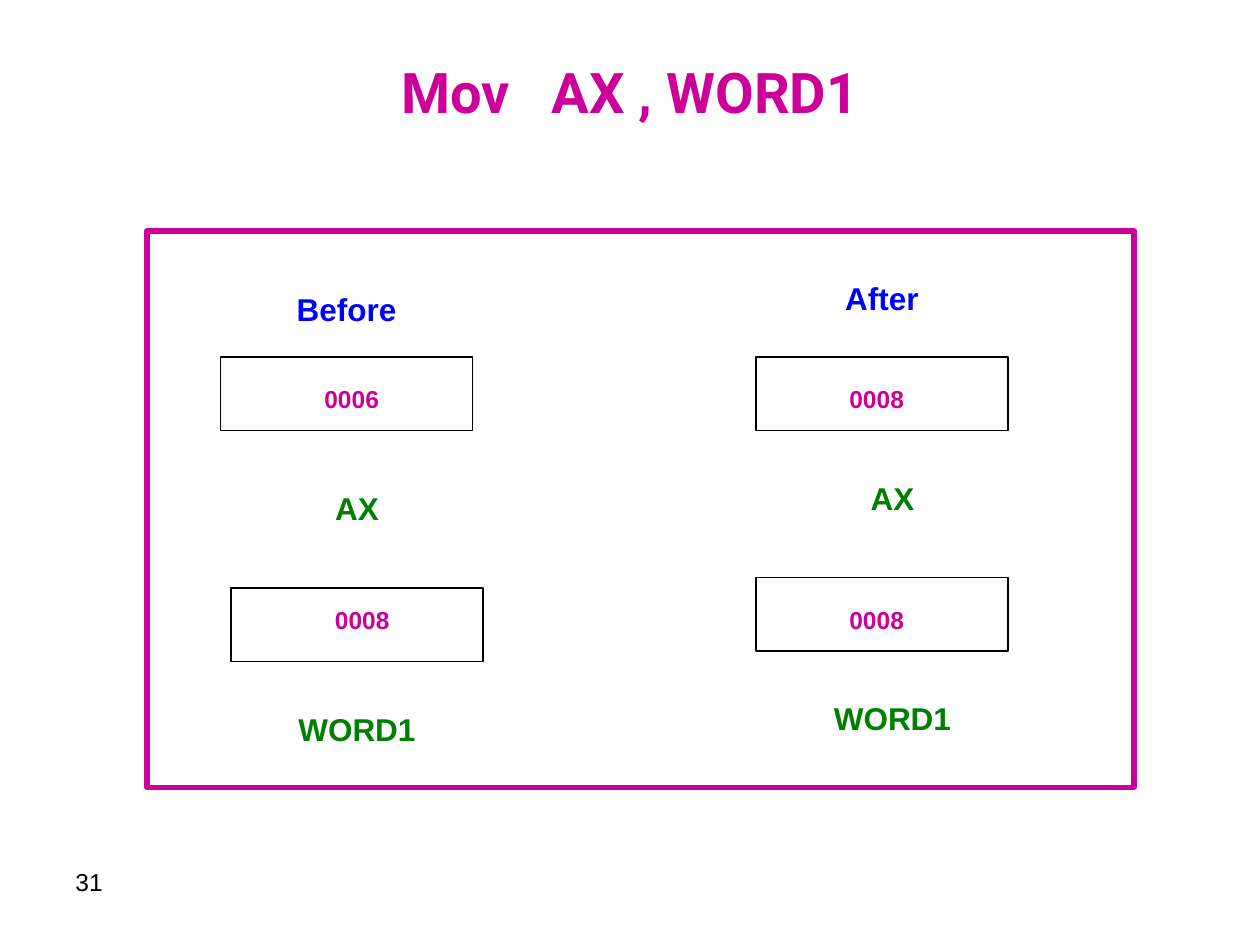
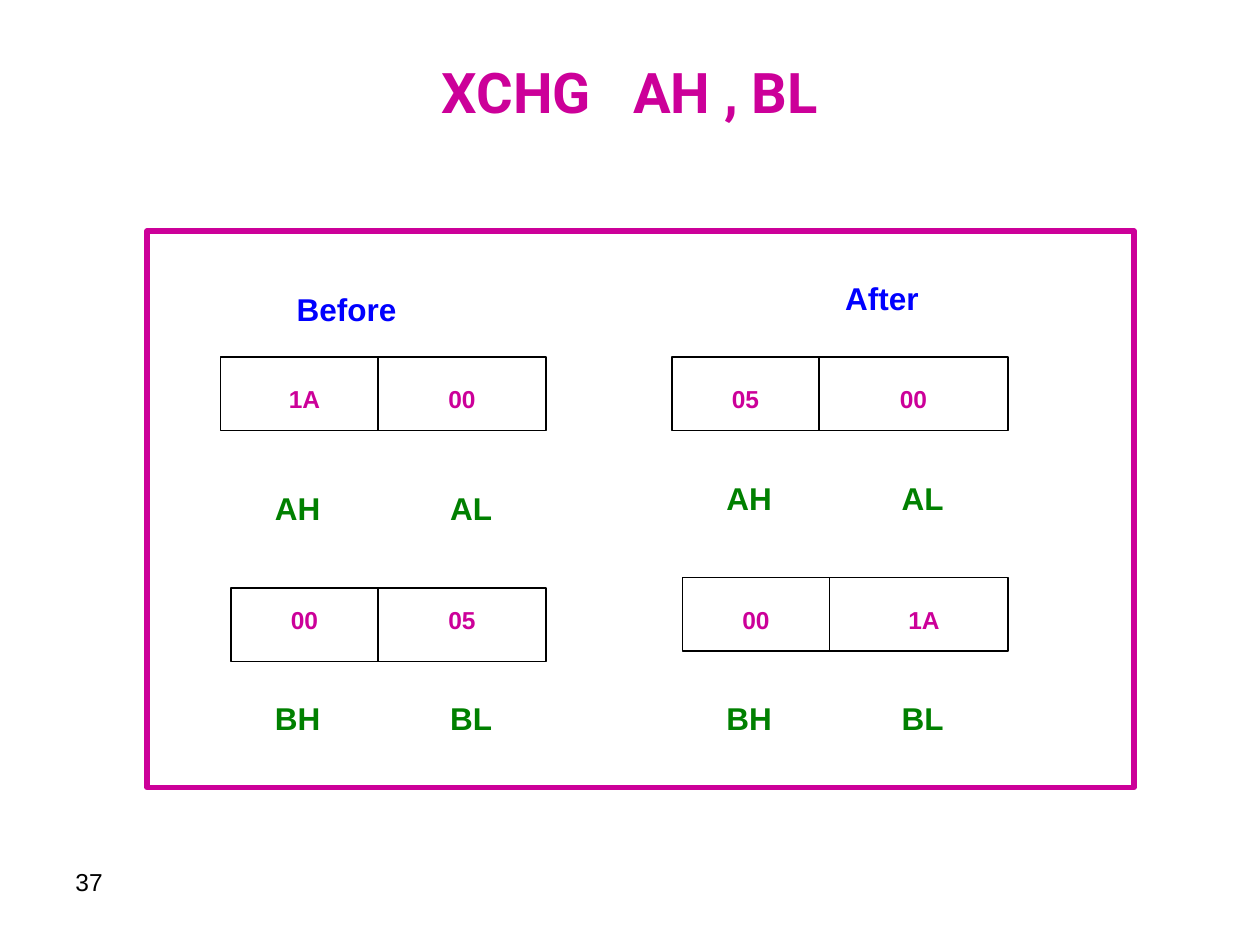
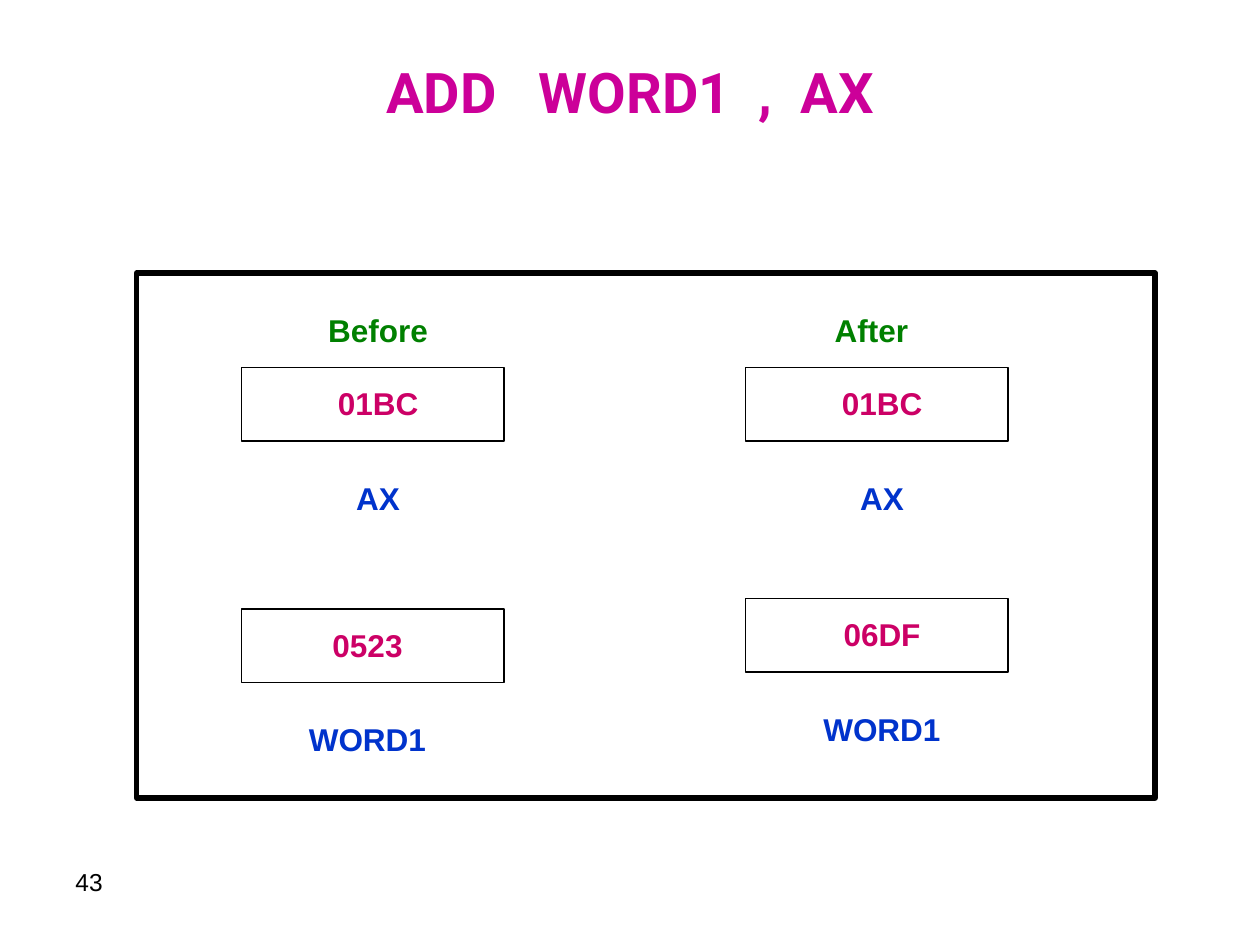
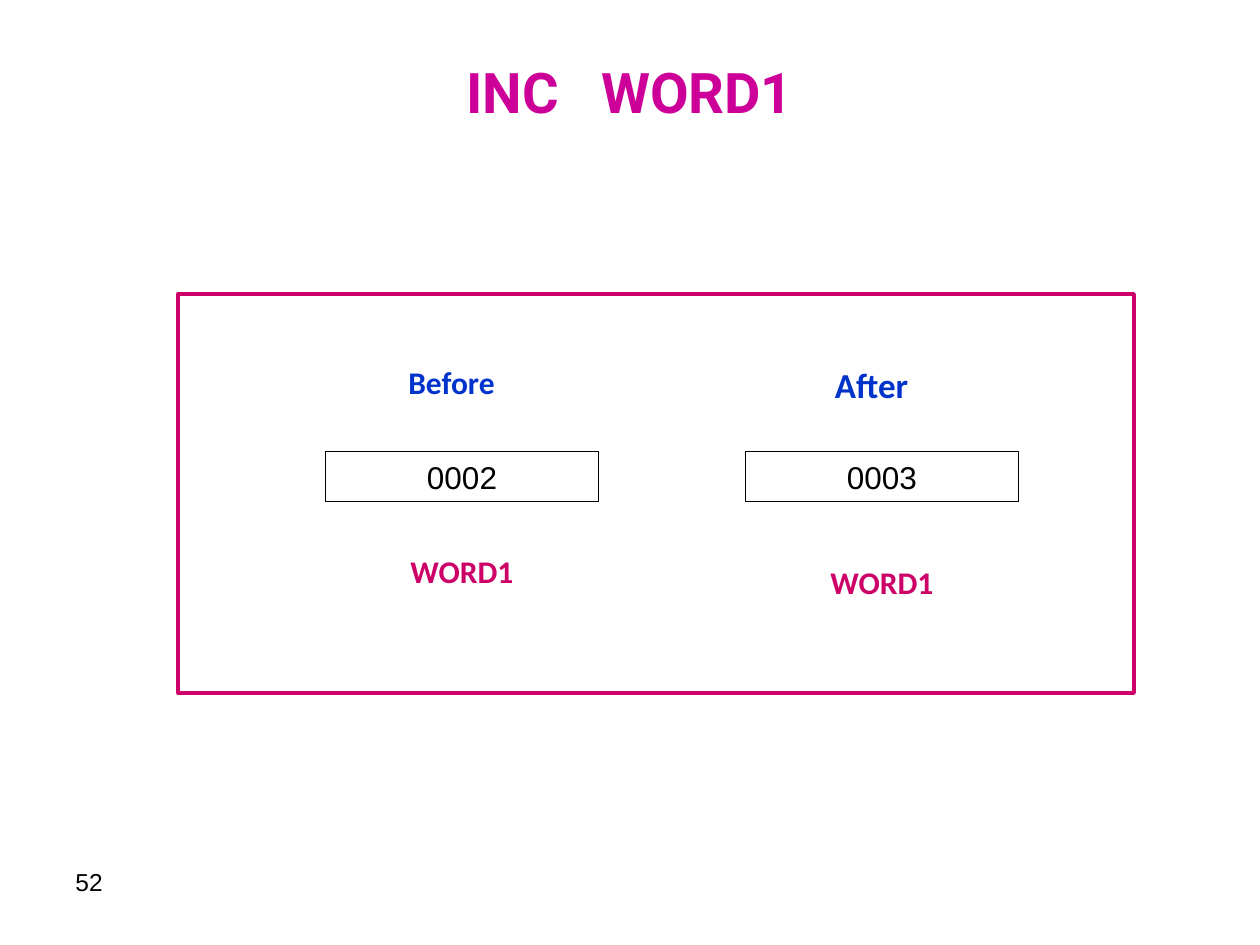
from lxml import etree
from pptx import Presentation
from pptx import util as u
from pptx.dml.color import RGBColor
from pptx.enum import shapes, text
from pptx.oxml.ns import qn

PX = 7620
WIDTH, HEIGHT = 1200, 900
BLACK, PURPLE, CRIMSON = "000000", "CC0099", "CC0066"
BRIGHT_BLUE, DEEP_BLUE, GREEN = "0000FF", "0033CC", "008000"

TITLE = {"name": "Roboto", "size": u.Pt(32), "bold": True}
PAGE = {"name": "Arial", "size": u.Pt(14), "bold": False}
LABEL = {"name": "Arial", "size": u.Pt(18), "bold": True}
SMALL_VALUE = {**LABEL, "size": u.Pt(14)}
PLAIN_VALUE = {**LABEL, "bold": False}
ROUND_LABEL = {**LABEL, "name": "Calibri"}
LARGE_ROUND_LABEL = {**ROUND_LABEL, "size": u.Pt(20)}

LEFT, CENTER = text.PP_ALIGN.LEFT, text.PP_ALIGN.CENTER
WIDE_GAP, MEDIUM_GAP = 1600, 800
LOW_BYTE_TAB = 167


def px(*lengths):
    return [u.Emu(length * PX) for length in lengths]


def rgb(color):
    return RGBColor.from_string(color)


def add_run(paragraph, words, color, style):
    run = paragraph.add_run()
    run.text = words
    for attribute, value in style.items():
        setattr(run.font, attribute, value)
    run.font.color.rgb = rgb(color)
    return run


def label(slide, words, area, color, style, align=CENTER):
    frame = slide.shapes.add_textbox(*px(*area)).text_frame
    frame.word_wrap = True
    paragraph = frame.paragraphs[0]
    paragraph.alignment = align
    if words:
        add_run(paragraph, words, color, style)
    return frame


def labels(slide, entries, size, color, style):
    for words, x, y in entries:
        label(slide, words, (x, y, *size), color, style)


def byte_names(slide, entries):
    for high, low, x, y in entries:
        frame = label(slide, "", (x, y, 240, 84), GREEN, LABEL, LEFT)
        paragraph = frame.paragraphs[0]
        properties = paragraph._p.get_or_add_pPr()
        stops = etree.SubElement(properties, qn("a:tabLst"))
        etree.SubElement(stops, qn("a:tab"), pos=str(LOW_BYTE_TAB * PX), algn="l")
        add_run(paragraph, f"{high}\t{low}", GREEN, LABEL)


def title(slide, parts):
    frame = label(slide, "", (60, 36, 1080, 102), PURPLE, TITLE)
    frame.vertical_anchor = text.MSO_ANCHOR.MIDDLE
    heading = frame.paragraphs[0]
    for words, gap in parts:
        add_run(heading, words, PURPLE, TITLE)
        if gap:
            space = add_run(heading, " ", PURPLE, TITLE)
            space.font._element.set("spc", str(gap))


def outline(slide, area, color=BLACK, weight=0.75):
    box = slide.shapes.add_shape(shapes.MSO_SHAPE.RECTANGLE, *px(*area))
    box.shadow.inherit = False
    box.fill.background()
    box.line.color.rgb = rgb(color)
    box.line.width = u.Pt(weight)
    return box


def divider(slide, x, top, height=70):
    line = slide.shapes.add_connector(
        shapes.MSO_CONNECTOR.STRAIGHT, *px(x, top, x, top + height))
    line.line.color.rgb = rgb(BLACK)
    line.line.width = u.Pt(0.75)
    etree.SubElement(line._element.spPr, qn("a:effectLst"))


def start_slide(deck, page, heading, frame, color, weight=3):
    slide = deck.slides.add_slide(deck.slide_layouts[6])
    label(slide, str(page), (60, 820, 280, 62), BLACK, PAGE, LEFT)
    title(slide, heading)
    outline(slide, frame, color, weight)
    return slide


def start_register_slide(deck, page, heading):
    slide = start_slide(deck, page, heading, (140, 220, 940, 530), PURPLE)
    labels(slide, [("Before", 210, 270), ("After", 720, 260)],
           (240, 48), BRIGHT_BLUE, LABEL)
    return slide


def mov_slide(deck):
    slide = start_register_slide(deck, 31, [("Mov", WIDE_GAP), ("AX , WORD1", 0)])
    for x, y in [(210, 340), (720, 340), (220, 560), (720, 550)]:
        outline(slide, (x, y, 240, 70))
    labels(slide, [("AX", 250, 460), ("AX", 760, 450),
                   ("WORD1", 250, 670), ("WORD1", 760, 660)],
           (180, 48), GREEN, LABEL)
    labels(slide, [("0006", 240, 360), ("0008", 740, 360),
                   ("0008", 250, 570), ("0008", 740, 570)],
           (190, 41), PURPLE, SMALL_VALUE)


def xchg_slide(deck):
    slide = start_register_slide(deck, 37, [("XCHG", WIDE_GAP), ("AH , BL", 0)])
    for x, y, width, split in [(210, 340, 310, 360), (640, 340, 320, 780),
                               (220, 560, 300, 360), (650, 550, 310, 790)]:
        outline(slide, (x, y, width, 70))
        divider(slide, split, y)
    byte_names(slide, [("AH", "AL", 250, 460), ("AH", "AL", 680, 450),
                       ("BH", "BL", 250, 660), ("BH", "BL", 680, 660)])
    labels(slide, [("1A", 240, 360), ("00", 390, 360),
                   ("05", 660, 360), ("00", 820, 360),
                   ("00", 240, 570), ("05", 390, 570),
                   ("00", 670, 570), ("1A", 830, 570)],
           (100, 41), PURPLE, SMALL_VALUE)


def add_slide(deck):
    heading = [("ADD", WIDE_GAP), ("WORD1", MEDIUM_GAP), (",", MEDIUM_GAP), ("AX", 0)]
    slide = start_slide(deck, 43, heading, (130, 260, 970, 500), BLACK)
    for x, y in [(230, 350), (710, 350), (230, 580), (710, 570)]:
        outline(slide, (x, y, 250, 70))
    labels(slide, [("Before", 240, 290), ("After", 710, 290)],
           (240, 48), GREEN, LABEL)
    labels(slide, [("AX", 240, 450), ("AX", 720, 450),
                   ("WORD1", 230, 680), ("WORD1", 720, 670)],
           (240, 48), DEEP_BLUE, LABEL)
    labels(slide, [("01BC", 250, 360), ("01BC", 730, 360),
                   ("0523", 240, 590), ("06DF", 730, 580)],
           (220, 48), CRIMSON, LABEL)


def inc_slide(deck):
    slide = start_slide(deck, 52, [("INC", WIDE_GAP), ("WORD1", 0)],
                        (170, 280, 910, 380), CRIMSON, 2.25)
    for value, x in [("0002", 310), ("0003", 710)]:
        box = outline(slide, (x, 430, 260, 48))
        paragraph = box.text_frame.paragraphs[0]
        paragraph.alignment = CENTER
        add_run(paragraph, value, BLACK, PLAIN_VALUE)
    label(slide, "Before", (300, 340, 260, 48), DEEP_BLUE, ROUND_LABEL)
    label(slide, "After", (700, 340, 260, 53), DEEP_BLUE, LARGE_ROUND_LABEL)
    labels(slide, [("WORD1", 310, 520), ("WORD1", 710, 530)],
           (260, 48), CRIMSON, ROUND_LABEL)


def main():
    deck = Presentation()
    deck.slide_width, deck.slide_height = px(WIDTH, HEIGHT)
    for build in (mov_slide, xchg_slide, add_slide, inc_slide):
        build(deck)
    deck.save("out.pptx")


if __name__ == "__main__":
    main()
